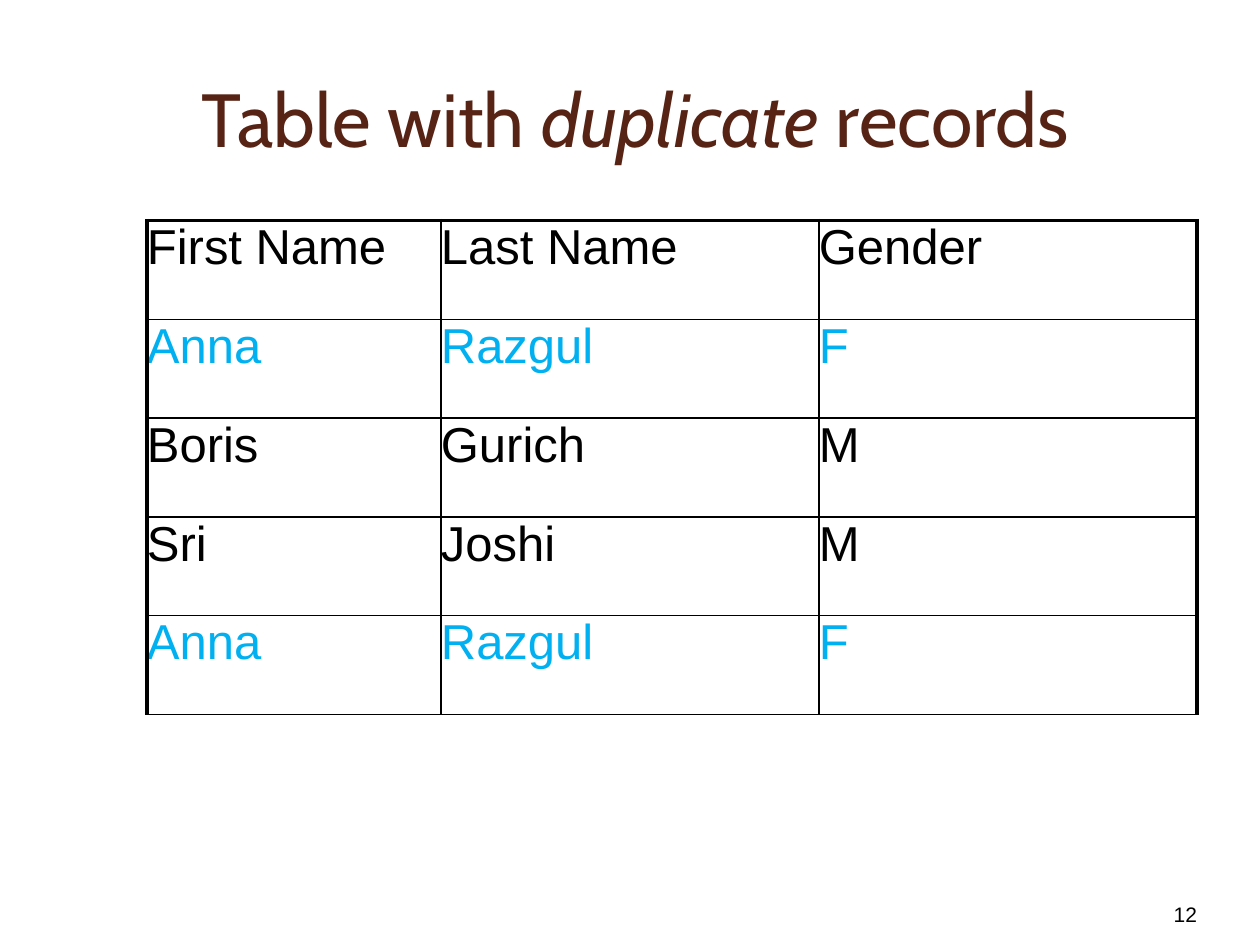
from lxml.etree import SubElement
from pptx import Presentation
from pptx.dml.color import RGBColor
from pptx.enum.shapes import MSO_SHAPE
from pptx.enum.text import MSO_ANCHOR, PP_ALIGN
from pptx.oxml.ns import qn
from pptx.util import Pt

HUES = {"title": "572314", "ink": "000000", "twin": "00B0F0", "strip": "FFFFFF"}
ROWS = [
    ("First Name", "Last Name", "Gender"),
    ("Anna", "Razgul", "F"),
    ("Boris", "Gurich", "M"),
    ("Sri", "Joshi", "M"),
    ("Anna", "Razgul", "F"),
]
WIDTHS = [168, 216, 216]
HIGH = 56.45
THIN, THICK = 1, 2.25


def style(para, face, size, hue):
    para.font.name = face
    para.font.size = Pt(size)
    para.font.color.rgb = RGBColor.from_string(HUES[hue])


def edge(cell, side, width):
    line = SubElement(cell._tc.get_or_add_tcPr(), qn(f"a:{side}"), w=str(Pt(width)))
    fill = SubElement(line, qn("a:solidFill"))
    SubElement(fill, qn("a:srgbClr"), val=HUES["ink"])


deck = Presentation()
deck.slide_width, deck.slide_height = Pt(720), Pt(540)
slide = deck.slides.add_slide(deck.slide_layouts[6])

strip = slide.shapes.add_shape(MSO_SHAPE.RECTANGLE, Pt(80), 0, Pt(5.75), Pt(540))
strip.shadow.inherit = False
strip.fill.solid()
strip.fill.fore_color.rgb = RGBColor.from_string(HUES["strip"])
strip.line.fill.background()

title = slide.shapes.add_textbox(Pt(78), Pt(22.2), Pt(570), Pt(90)).text_frame
title.word_wrap = True
title.vertical_anchor = MSO_ANCHOR.MIDDLE
para = title.paragraphs[0]
para.alignment = PP_ALIGN.CENTER
style(para, "Cabin", 43, "title")
for text, slant in [("Table with ", False), ("duplicate", True), (" records", False)]:
    run = para.add_run()
    run.text = text
    run.font.italic = slant

frame = slide.shapes.add_table(
    len(ROWS), len(WIDTHS), Pt(84), Pt(126), Pt(sum(WIDTHS)), Pt(HIGH * len(ROWS))
)
table = frame.table
table.first_row = table.horz_banding = False
for col, width in zip(table.columns, WIDTHS):
    col.width = Pt(width)
for r, names in enumerate(ROWS):
    table.rows[r].height = Pt(HIGH)
    hue = "twin" if ROWS.count(names) > 1 else "ink"
    for c, name in enumerate(names):
        cell = table.cell(r, c)
        cell.margin_left = cell.margin_right = cell.margin_top = cell.margin_bottom = 0
        cell.text = name
        style(cell.text_frame.paragraphs[0], "Arial", 28, hue)
        edge(cell, "lnL", THICK if c == 0 else THIN)
        edge(cell, "lnR", THICK if c == len(WIDTHS) - 1 else THIN)
        edge(cell, "lnT", THICK if r == 0 else THIN)
        edge(cell, "lnB", THIN)
        cell.fill.background()

page = slide.shapes.add_textbox(Pt(624), Pt(504.6), Pt(60), Pt(28.8)).text_frame
page.word_wrap = True
page.margin_left = page.margin_right = 0
page.vertical_anchor = MSO_ANCHOR.BOTTOM
para = page.paragraphs[0]
para.text = "12"
para.alignment = PP_ALIGN.RIGHT
style(para, "Arial", 12, "ink")

deck.save("out.pptx")
